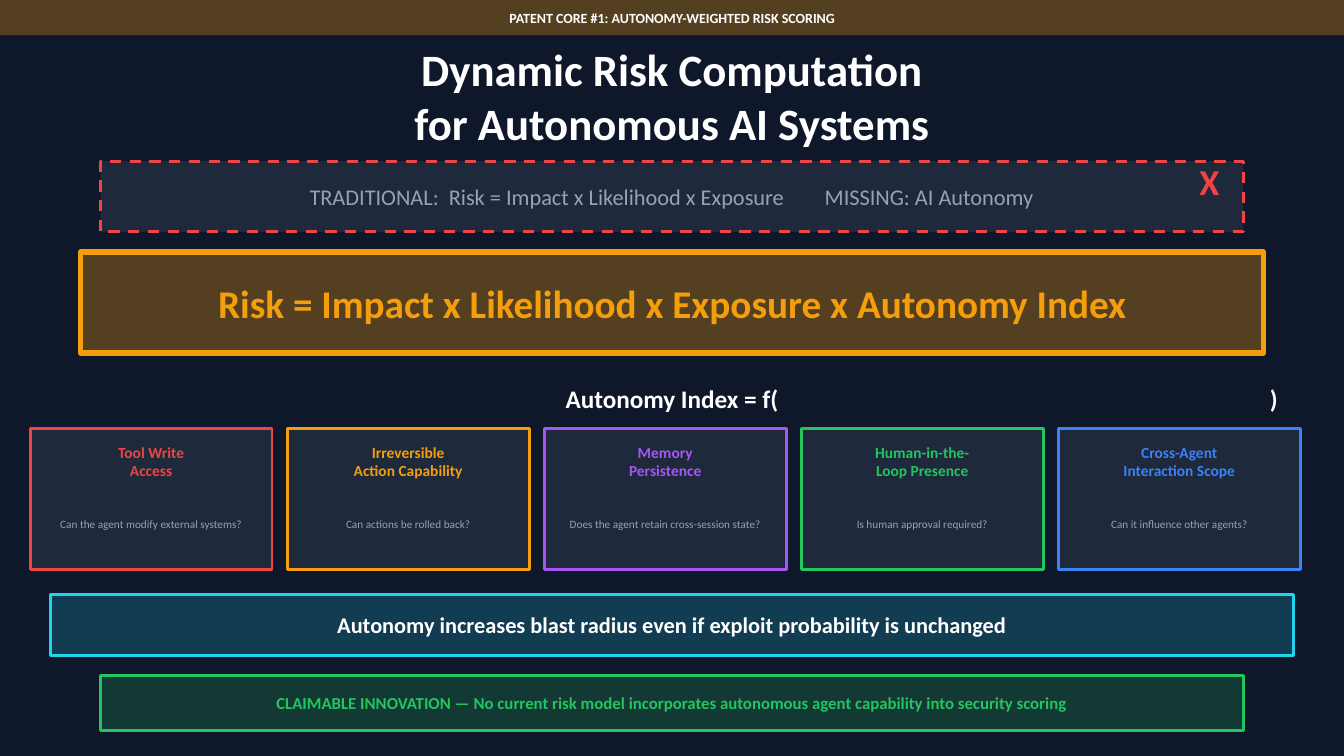
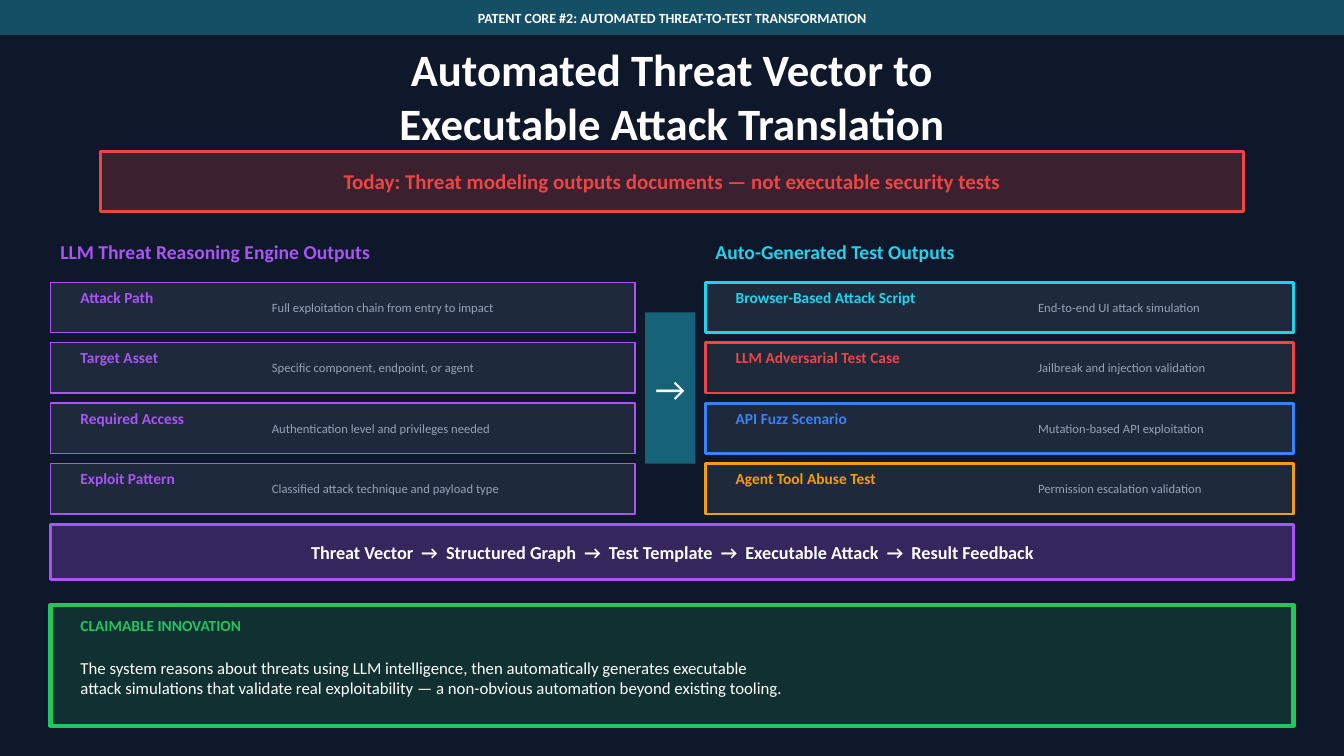
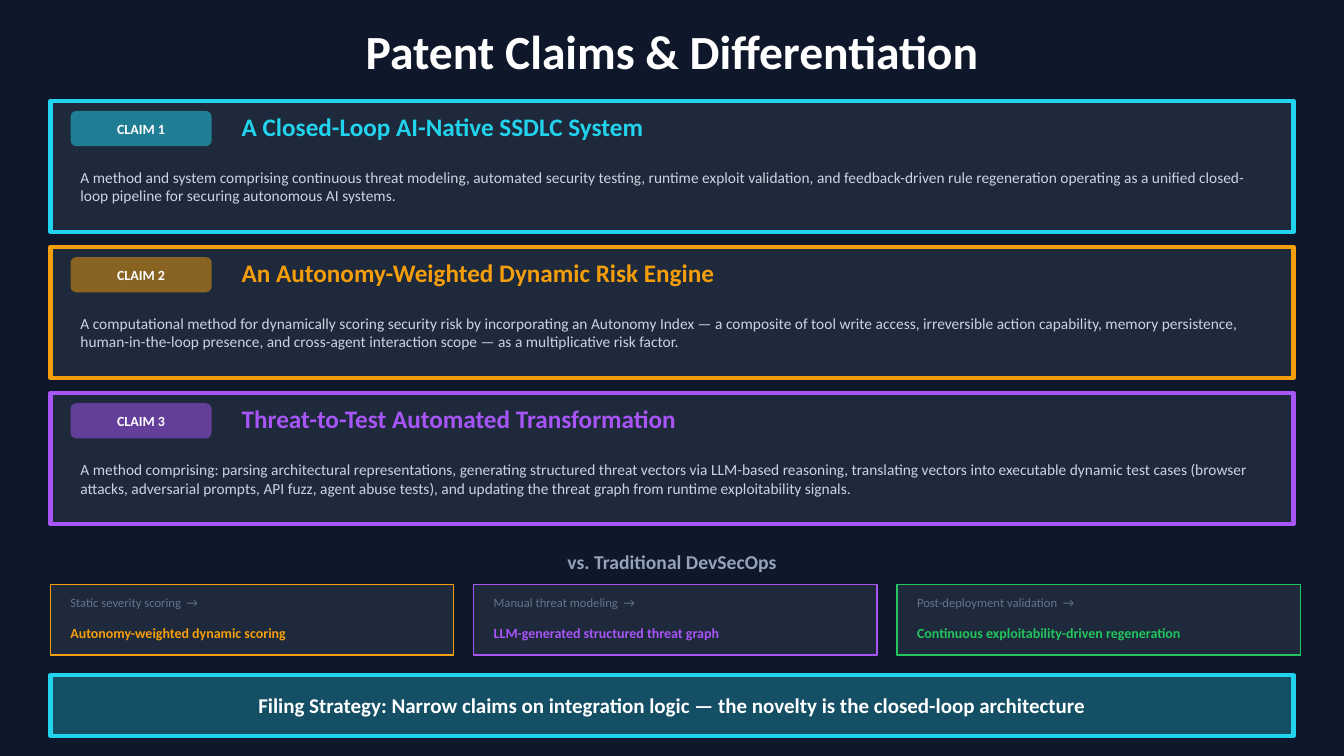
from dataclasses import dataclass
from typing import NamedTuple, Optional, Sequence

from lxml.etree import SubElement
from pptx import Presentation
from pptx.dml.color import RGBColor
from pptx.enum.dml import MSO_LINE
from pptx.enum.shapes import MSO_SHAPE
from pptx.enum.text import MSO_ANCHOR, MSO_AUTO_SIZE, PP_ALIGN
from pptx.oxml.ns import qn
from pptx.shapes.autoshape import Shape
from pptx.slide import Slide
from pptx.text.text import TextFrame
from pptx.util import Pt

NAVY = RGBColor(0x0F, 0x17, 0x2A)
PANEL = RGBColor(0x1E, 0x29, 0x3B)
WHITE = RGBColor(0xFF, 0xFF, 0xFF)
LIGHT = RGBColor(0xCB, 0xD5, 0xE1)
MUTED = RGBColor(0x94, 0xA3, 0xB8)
DIM = RGBColor(0x64, 0x74, 0x8B)
RED = RGBColor(0xEF, 0x44, 0x44)
AMBER = RGBColor(0xF5, 0x9E, 0x0B)
PURPLE = RGBColor(0xA8, 0x55, 0xF7)
GREEN = RGBColor(0x22, 0xC5, 0x5E)
BLUE = RGBColor(0x3B, 0x82, 0xF6)
CYAN = RGBColor(0x22, 0xD3, 0xEE)

FONT = "Calibri"
SLIDE_W, SLIDE_H = 960, 540
MARGIN, WIDE = 36, 888
INNER_X, INNER_W = 72, 816
TITLE_ONLY = 5


class Box(NamedTuple):
    x: float
    y: float
    w: float
    h: float


class Style(NamedTuple):
    size: float
    color: RGBColor
    bold: bool = False
    align: PP_ALIGN = PP_ALIGN.LEFT


class Paint(NamedTuple):
    """Fill with its opacity in percent, and an optional outline."""
    fill: RGBColor = PANEL
    opacity: int = 100
    line: Optional[RGBColor] = None
    width: float = 0


@dataclass
class Factor:
    name: Sequence[str]
    question: str
    color: RGBColor


@dataclass
class Output:
    name: str
    detail: str
    color: RGBColor


@dataclass
class Claim:
    title: str
    body: str
    color: RGBColor


@dataclass
class Contrast:
    old: str
    new: str
    color: RGBColor


def centered(size: float, color: RGBColor, bold: bool = True) -> Style:
    return Style(size, color, bold, PP_ALIGN.CENTER)


def tinted(color: RGBColor, opacity: int, width: float) -> Paint:
    return Paint(color, opacity, color, width)


def place(sp: Shape, box: Box) -> None:
    sp.left, sp.top, sp.width, sp.height = (Pt(v) for v in box)


def write(tf: TextFrame, lines: Sequence[str], style: Style) -> None:
    """Fill the frame with one paragraph per line."""
    tf.word_wrap = True
    tf.auto_size = MSO_AUTO_SIZE.NONE
    tf.vertical_anchor = MSO_ANCHOR.MIDDLE
    for i, line in enumerate(lines):
        p = tf.add_paragraph() if i else tf.paragraphs[0]
        p.alignment = style.align
        r = p.add_run()
        r.text = line
        r.font.name = FONT
        r.font.size = Pt(style.size)
        r.font.bold = style.bold
        r.font.color.rgb = style.color


def add_text(slide: Slide, box: Box, style: Style, *lines: str) -> Shape:
    sp = slide.shapes.add_textbox(*(Pt(v) for v in box))
    write(sp.text_frame, lines, style)
    return sp


def add_panel(slide: Slide, box: Box, paint: Paint, text: str = "",
              style: Optional[Style] = None,
              kind: MSO_SHAPE = MSO_SHAPE.RECTANGLE) -> Shape:
    sp = slide.shapes.add_shape(kind, *(Pt(v) for v in box))
    sp.shadow.inherit = False
    sp.fill.solid()
    sp.fill.fore_color.rgb = paint.fill
    if paint.opacity < 100:
        clr = sp._element.spPr.find(qn("a:solidFill")).find(qn("a:srgbClr"))
        SubElement(clr, qn("a:alpha")).set("val", str(paint.opacity * 1000))
    if paint.line is None:
        sp.line.fill.background()
    else:
        sp.line.color.rgb = paint.line
        sp.line.width = Pt(paint.width)
    if style:
        tf = sp.text_frame
        tf.margin_left = tf.margin_right = 0
        write(tf, [text], style)
    return sp


def add_tab_stop(sp: Shape, pos: float) -> None:
    pPr = sp.text_frame.paragraphs[0]._p.get_or_add_pPr()
    tab = SubElement(SubElement(pPr, qn("a:tabLst")), qn("a:tab"))
    tab.set("pos", str(Pt(pos)))
    tab.set("algn", "l")


def new_slide(prs: Presentation, box: Box, size: float, *title: str) -> Slide:
    slide = prs.slides.add_slide(prs.slide_layouts[TITLE_ONLY])
    place(slide.shapes.title, box)
    write(slide.shapes.title.text_frame, title, centered(size, WHITE))
    return slide


def new_core_slide(prs: Presentation, label: str, color: RGBColor,
                   *title: str) -> Slide:
    """Slide with a coloured label band above a two-line title."""
    slide = new_slide(prs, Box(MARGIN, 36, WIDE, 64.8), 32, *title)
    add_panel(slide, Box(0, 0, SLIDE_W, 25.2), Paint(color, 30),
              label, centered(10, WHITE))
    return slide


def add_factor(slide: Slide, x: float, factor: Factor) -> None:
    y, w = 306, 172.8
    add_panel(slide, Box(x, y, w, 100.8), Paint(line=factor.color, width=2))
    add_text(slide, Box(x + 7.2, y + 3.6, w - 14.4, 39.6),
             centered(11, factor.color), *factor.name)
    add_text(slide, Box(x + 7.2, y + 46.8, w - 14.4, 43.2),
             centered(8, MUTED, False), factor.question)


def add_output_column(slide: Slide, heading: str, color: RGBColor, x: float,
                      w: float, detail_dx: float, line_w: float,
                      outputs: Sequence[Output]) -> None:
    add_text(slide, Box(x, 165.6, 432, 28.8), Style(14, color, True), heading)
    for i, out in enumerate(outputs):
        y = 201.6 + i * 43.2
        add_panel(slide, Box(x, y, w, 36), Paint(line=out.color, width=line_w))
        add_text(slide, Box(x + 14.4, y + 3.6, detail_dx - 14.4, 14.4),
                 Style(11, out.color, True), out.name)
        add_text(slide, Box(x + detail_dx, y + 3.6, w - detail_dx - 14.4, 28.8),
                 Style(9, MUTED), out.detail)


def add_claim(slide: Slide, number: int, y: float, claim: Claim) -> None:
    add_panel(slide, Box(MARGIN, y, WIDE, 93.6), Paint(line=claim.color, width=3))
    add_panel(slide, Box(50.4, y + 7.2, 100.8, 25.2), Paint(claim.color, 50),
              f"CLAIM {number}", centered(10, WHITE), MSO_SHAPE.ROUNDED_RECTANGLE)
    add_text(slide, Box(165.6, y + 3.6, 720, 28.8),
             Style(18, claim.color, True), claim.title)
    add_text(slide, Box(50.4, y + 36, 849.6, 50.4), Style(11, LIGHT), claim.body)


def add_contrast(slide: Slide, x: float, contrast: Contrast) -> None:
    y, w = 417.6, 288
    add_panel(slide, Box(x, y, w, 50.4), Paint(line=contrast.color, width=1))
    add_text(slide, Box(x + 7.2, y + 2.2, w - 14.4, 21.6),
             Style(9, DIM), f"{contrast.old}  →")
    add_text(slide, Box(x + 7.2, y + 23.8, w - 14.4, 21.6),
             Style(10, contrast.color, True), contrast.new)


def build_risk_slide(prs: Presentation) -> None:
    slide = new_core_slide(
        prs, "PATENT CORE #1: AUTONOMY-WEIGHTED RISK SCORING", AMBER,
        "Dynamic Risk Computation", "for Autonomous AI Systems")

    traditional = add_panel(slide, Box(INNER_X, 115.2, INNER_W, 50.4),
                            Paint(line=RED, width=2))
    traditional.line.dash_style = MSO_LINE.DASH
    formula = add_text(
        slide, Box(214, 118.8, 600, 43.2), Style(16, MUTED),
        "TRADITIONAL:  Risk = Impact x Likelihood x Exposure\tMISSING: AI Autonomy")
    add_tab_stop(formula, 368)
    add_text(slide, Box(849.6, 111.6, 36, 36), Style(26, RED, True), "X")

    add_panel(slide, Box(57.6, 180, 844.8, 72), tinted(AMBER, 30, 4),
              "Risk = Impact x Likelihood x Exposure x Autonomy Index",
              centered(28, AMBER))

    add_text(slide, Box(MARGIN, 270, WIDE, 28.8), centered(18, WHITE),
             "Autonomy Index = f(")
    add_text(slide, Box(900, 270, 36, 28.8), Style(18, WHITE, True), ")")
    factors = [
        Factor(("Tool Write", "Access"),
               "Can the agent modify external systems?", RED),
        Factor(("Irreversible", "Action Capability"),
               "Can actions be rolled back?", AMBER),
        Factor(("Memory", "Persistence"),
               "Does the agent retain cross-session state?", PURPLE),
        Factor(("Human-in-the-", "Loop Presence"),
               "Is human approval required?", GREEN),
        Factor(("Cross-Agent", "Interaction Scope"),
               "Can it influence other agents?", BLUE),
    ]
    for i, factor in enumerate(factors):
        add_factor(slide, 21.6 + i * 183.6, factor)

    add_panel(slide, Box(MARGIN, 424.8, WIDE, 43.2), tinted(CYAN, 20, 2),
              "Autonomy increases blast radius even if exploit probability is unchanged",
              centered(16, WHITE))
    add_panel(slide, Box(INNER_X, 482.4, INNER_W, 39.6), tinted(GREEN, 20, 2),
              "CLAIMABLE INNOVATION — No current risk model incorporates "
              "autonomous agent capability into security scoring",
              centered(12, GREEN))


def build_translation_slide(prs: Presentation) -> None:
    slide = new_core_slide(
        prs, "PATENT CORE #2: AUTOMATED THREAT-TO-TEST TRANSFORMATION", CYAN,
        "Automated Threat Vector to", "Executable Attack Translation")
    add_panel(slide, Box(INNER_X, 108, INNER_W, 43.2), tinted(RED, 20, 2),
              "Today: Threat modeling outputs documents — not executable security tests",
              centered(15, RED))

    add_output_column(
        slide, "LLM Threat Reasoning Engine Outputs", PURPLE,
        MARGIN, 417.6, 151.2, 1, [
            Output("Attack Path", "Full exploitation chain from entry to impact", PURPLE),
            Output("Target Asset", "Specific component, endpoint, or agent", PURPLE),
            Output("Required Access", "Authentication level and privileges needed", PURPLE),
            Output("Exploit Pattern", "Classified attack technique and payload type", PURPLE),
        ])
    add_panel(slide, Box(460.8, 223.2, 36, 108), Paint(CYAN, 40),
              "→", centered(24, WHITE, False))
    add_output_column(
        slide, "Auto-Generated Test Outputs", CYAN, 504, 420, 230.4, 2, [
            Output("Browser-Based Attack Script", "End-to-end UI attack simulation", CYAN),
            Output("LLM Adversarial Test Case", "Jailbreak and injection validation", RED),
            Output("API Fuzz Scenario", "Mutation-based API exploitation", BLUE),
            Output("Agent Tool Abuse Test", "Permission escalation validation", AMBER),
        ])

    steps = ["Threat Vector", "Structured Graph", "Test Template",
             "Executable Attack", "Result Feedback"]
    add_panel(slide, Box(MARGIN, 374.4, WIDE, 39.6), tinted(PURPLE, 25, 2),
              "  →  ".join(steps), centered(13, WHITE))

    add_panel(slide, Box(MARGIN, 432, WIDE, 86.4), tinted(GREEN, 15, 3))
    add_text(slide, Box(50.4, 435.6, 288, 21.6), Style(11, GREEN, True),
             "CLAIMABLE INNOVATION")
    add_text(slide, Box(50.4, 460.8, 849.6, 46.8), Style(12, WHITE),
             "The system reasons about threats using LLM intelligence, "
             "then automatically generates executable",
             "attack simulations that validate real exploitability — "
             "a non-obvious automation beyond existing tooling.")


def build_claims_slide(prs: Presentation) -> None:
    slide = new_slide(prs, Box(MARGIN, 14.4, WIDE, 43.2), 34,
                      "Patent Claims & Differentiation")
    claims = [
        Claim("A Closed-Loop AI-Native SSDLC System",
              "A method and system comprising continuous threat modeling, automated "
              "security testing, runtime exploit validation, and feedback-driven rule "
              "regeneration operating as a unified closed-loop pipeline for securing "
              "autonomous AI systems.", CYAN),
        Claim("An Autonomy-Weighted Dynamic Risk Engine",
              "A computational method for dynamically scoring security risk by "
              "incorporating an Autonomy Index — a composite of tool write access, "
              "irreversible action capability, memory persistence, human-in-the-loop "
              "presence, and cross-agent interaction scope — as a multiplicative risk "
              "factor.", AMBER),
        Claim("Threat-to-Test Automated Transformation",
              "A method comprising: parsing architectural representations, generating "
              "structured threat vectors via LLM-based reasoning, translating vectors "
              "into executable dynamic test cases (browser attacks, adversarial prompts, "
              "API fuzz, agent abuse tests), and updating the threat graph from runtime "
              "exploitability signals.", PURPLE),
    ]
    for i, claim in enumerate(claims):
        add_claim(slide, i + 1, 72 + i * 104.4, claim)

    add_text(slide, Box(MARGIN, 388.8, WIDE, 25.2), centered(14, MUTED),
             "vs. Traditional DevSecOps")
    contrasts = [
        Contrast("Static severity scoring", "Autonomy-weighted dynamic scoring", AMBER),
        Contrast("Manual threat modeling", "LLM-generated structured threat graph", PURPLE),
        Contrast("Post-deployment validation",
                 "Continuous exploitability-driven regeneration", GREEN),
    ]
    for i, contrast in enumerate(contrasts):
        add_contrast(slide, MARGIN + i * 302.4, contrast)

    add_panel(slide, Box(MARGIN, 482.4, WIDE, 43.2), tinted(CYAN, 30, 3),
              "Filing Strategy: Narrow claims on integration logic — "
              "the novelty is the closed-loop architecture", centered(15, WHITE))


def main() -> None:
    prs = Presentation()
    prs.slide_width, prs.slide_height = Pt(SLIDE_W), Pt(SLIDE_H)
    background = prs.slide_master.background.fill
    background.solid()
    background.fore_color.rgb = NAVY
    build_risk_slide(prs)
    build_translation_slide(prs)
    build_claims_slide(prs)
    prs.save("out.pptx")


if __name__ == "__main__":
    main()
